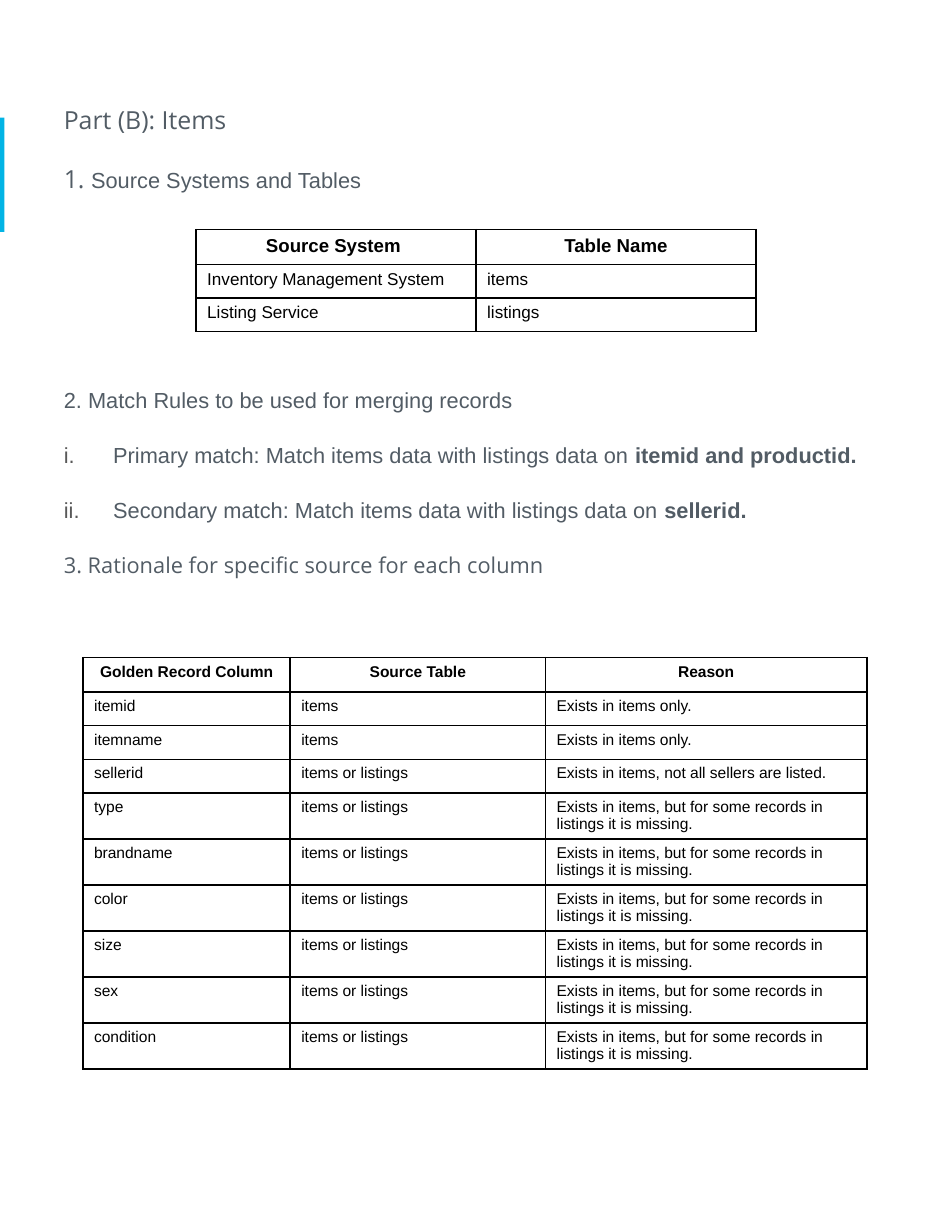
from pptx import Presentation
from pptx.dml.color import RGBColor
from pptx.enum import shapes, text
from pptx.oxml import ns
from pptx.util import Inches, Pt
from lxml import etree

ACCENT = RGBColor(0x02, 0xB4, 0xE5)
SLATE = RGBColor(0x52, 0x5C, 0x65)
GRAY = RGBColor(0x59, 0x59, 0x59)
BLACK = RGBColor(0, 0, 0)
SANS, HEAD = "Arial", "Open Sans"


def add_xml(parent, tag, **attrs):
    """Append a DrawingML child element and return it."""
    return etree.SubElement(parent, ns.qn(tag), attrs)


class Page:
    """Holds the style and the current slide."""

    def __init__(self, prs):
        self.s = prs.slides.add_slide(prs.slide_layouts[1])
        title = self.s.shapes.title
        title.element.getparent().remove(title.element)

    def bar(self, x, y, w, h):
        """Draw a plain accent rectangle."""
        sp = self.s.shapes.add_shape(
            shapes.MSO_SHAPE.RECTANGLE, Inches(x), Inches(y), Inches(w), Inches(h))
        sp.shadow.inherit = False
        sp.fill.solid()
        sp.fill.fore_color.rgb = ACCENT
        sp.line.fill.background()

    def run(self, p, words, size, font=SANS, bold=False, color=SLATE):
        """Add one formatted run."""
        r = p.add_run()
        r.text = words
        r.font.size, r.font.name, r.font.bold = Pt(size), font, bold
        r.font.color.rgb = color

    def body(self, x, y, w, h):
        """Place the body placeholder and return its text frame."""
        sp = self.s.placeholders[1]
        sp.left, sp.top, sp.width, sp.height = map(Inches, (x, y, w, h))
        tf = sp.text_frame
        tf.word_wrap = True
        tf.auto_size = text.MSO_AUTO_SIZE.NONE
        tf.vertical_anchor = text.MSO_ANCHOR.TOP
        tf.margin_left = tf.margin_right = tf.margin_top = tf.margin_bottom = Inches(0.1)
        return tf

    def paragraph(self, tf, runs, before=16, numbered=False):
        """Add a justified paragraph, optionally with a roman number."""
        p = tf.paragraphs[0]
        if p.runs:
            p = tf.add_paragraph()
        p.alignment = text.PP_ALIGN.JUSTIFY
        p.line_spacing, p.space_before = 1.15, Pt(before)
        pPr = p._p.get_or_add_pPr()
        indent = Inches(0.44) if numbered else 0
        pPr.set("marL", str(indent))
        pPr.set("indent", str(-indent))
        if numbered:
            add_xml(add_xml(pPr, "a:buClr"), "a:srgbClr", val=str(GRAY))
            add_xml(pPr, "a:buFont", typeface=SANS)
            add_xml(pPr, "a:buAutoNum", type="romanLcPeriod")
        else:
            add_xml(pPr, "a:buNone")
        for r in runs:
            self.run(p, *r)

    def border(self, cell):
        """Give a cell a thin black line on every side and no fill."""
        tcPr = cell._tc.get_or_add_tcPr()
        for side in ("a:lnL", "a:lnR", "a:lnT", "a:lnB"):
            ln = add_xml(tcPr, side, w=str(Pt(1)))
            add_xml(add_xml(ln, "a:solidFill"), "a:srgbClr", val=str(BLACK))
        cell.fill.background()

    def table(self, x, y, widths, rows, head_size, size):
        """Draw a bordered table with a bold centred header row."""
        row_h = Inches(0.3)
        tbl = self.s.shapes.add_table(
            len(rows), len(widths), Inches(x), Inches(y),
            Inches(sum(widths)), row_h * len(rows)).table
        tbl.first_row = tbl.horz_banding = False
        for col, w in zip(tbl.columns, widths):
            col.width = Inches(w)
        for i, row in enumerate(rows):
            tbl.rows[i].height = row_h if i else Inches(0.31)
            for j, words in enumerate(row):
                cell = tbl.cell(i, j)
                self.border(cell)
                p = cell.text_frame.paragraphs[0]
                p.alignment = text.PP_ALIGN.LEFT if i else text.PP_ALIGN.CENTER
                self.run(p, words, size if i else head_size, bold=not i, color=BLACK)


def main():
    """Build the slide and save it."""
    prs = Presentation()
    prs.slide_width, prs.slide_height = Inches(8.5), Inches(11)
    page = Page(prs)
    page.bar(0, 1.05, 0.04, 1.02)

    tf = page.body(0.47, 0.79, 7.55, 9.61)
    page.paragraph(tf, [("Part (B): Items", 16, HEAD)])
    page.paragraph(tf, [("1. ", 16, HEAD), ("Source Systems and Tables", 14)])
    page.paragraph(tf, [("2. Match Rules to be used for merging records", 14)], before=122)
    for lead, keys in (("Primary match", "itemid and productid. "),
                       ("Secondary match", "sellerid. ")):
        page.paragraph(tf, [(f"{lead}: Match items data with listings data on ", 14),
                            (keys, 14, SANS, True)], numbered=True)
    page.paragraph(tf, [("3. Rationale for specific source for each column", 14, HEAD)])

    page.table(1.75, 2.05, (2.5, 2.5), [
        ("Source System ", "Table Name"),
        ("Inventory Management System", "items"),
        ("Listing Service", "listings")], 12, 11)

    both = "items or listings"
    missing = "Exists in items, but for some records in listings it is missing."
    rows = [("Golden Record Column", "Source Table", "Reason")]
    rows += [(c, "items", "Exists in items only.") for c in ("itemid", "itemname")]
    rows += [("sellerid", both, "Exists in items, not all sellers are listed.")]
    rows += [(c, both, missing)
             for c in ("type", "brandname", "color", "size", "sex", "condition")]
    page.table(0.74, 5.87, (1.85, 2.28, 2.87), rows, 10, 10)

    prs.save("out.pptx")


if __name__ == "__main__":
    main()
